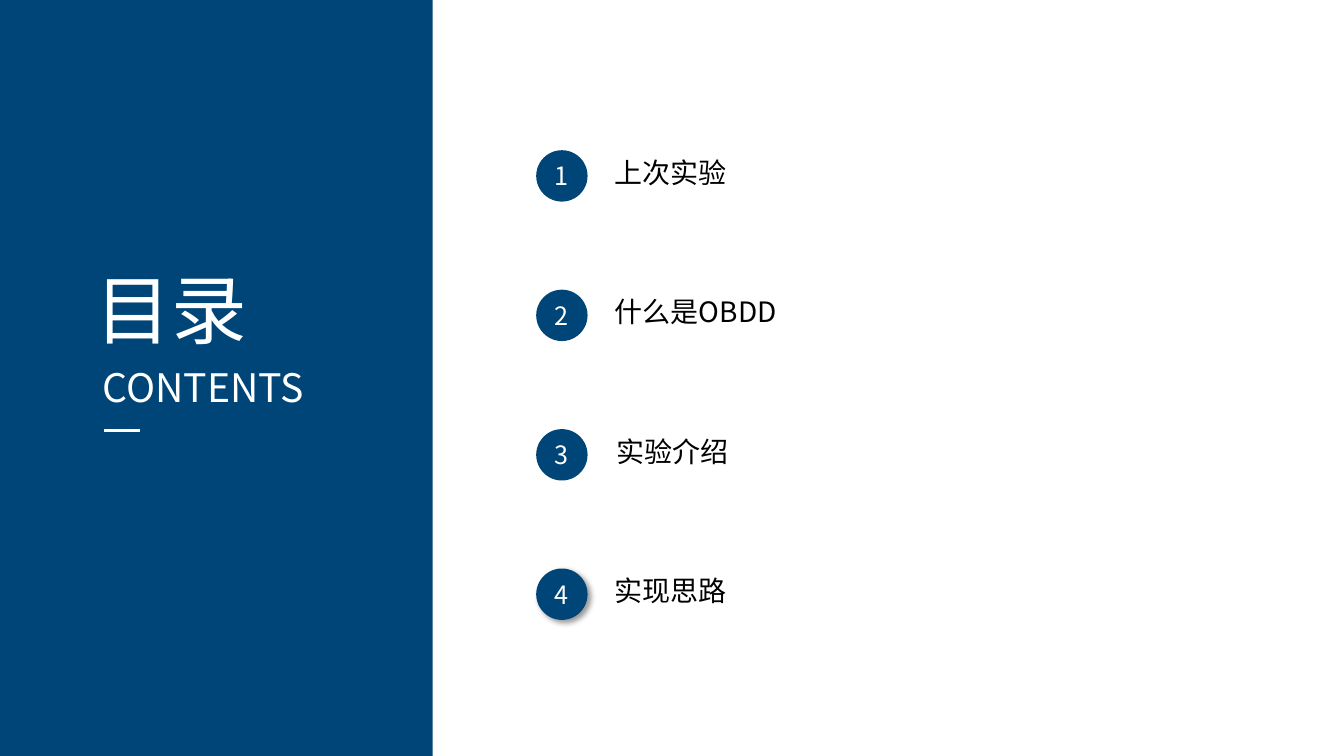
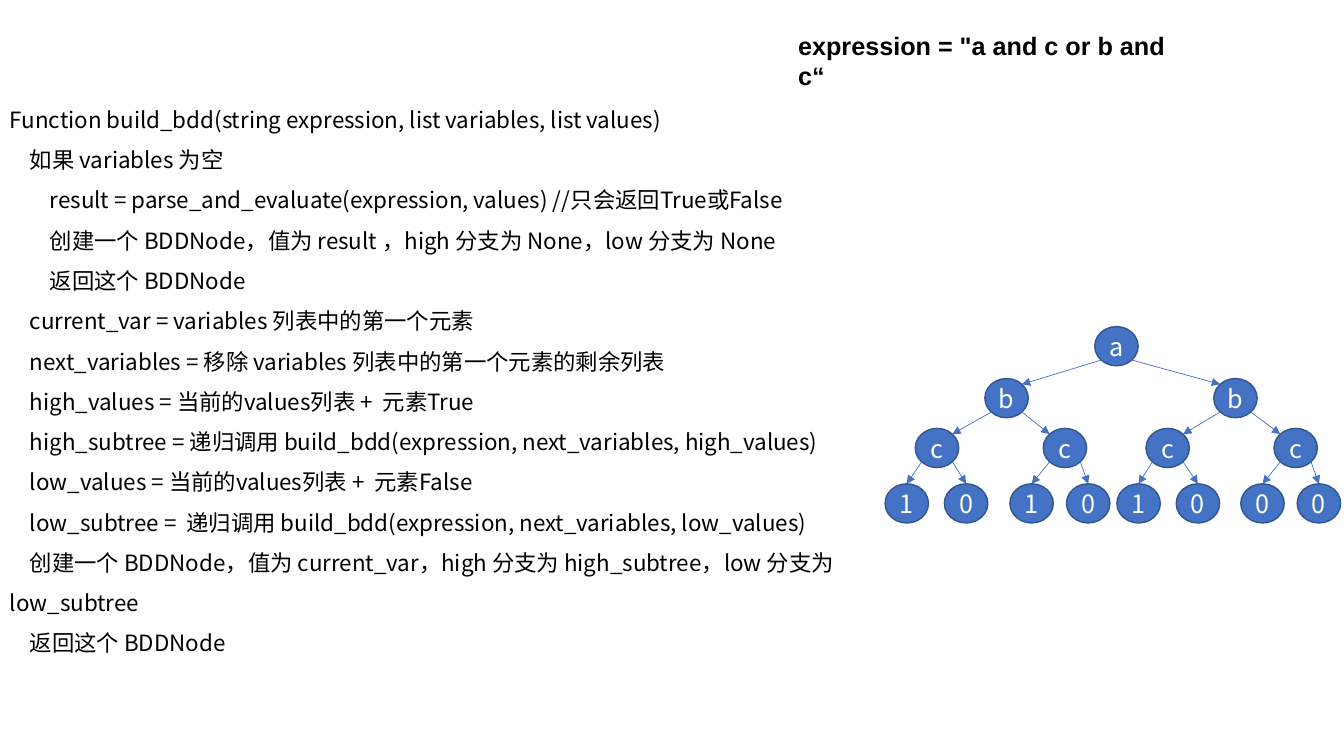
from dataclasses import dataclass
from math import sqrt

from lxml.etree import SubElement
from pptx import Presentation
from pptx.dml.color import RGBColor
from pptx.enum.shapes import MSO_CONNECTOR as Connector, MSO_SHAPE as Shape
from pptx.enum.text import MSO_ANCHOR as Anchor, MSO_AUTO_SIZE as AutoSize, PP_ALIGN as Align
from pptx.oxml.ns import qn
from pptx.util import Pt

NAVY, BLUE, BLUE_EDGE = "004578", "4472C4", "325491"
WHITE, BLACK = "FFFFFF", "000000"
CJK_FONT = "Noto Sans CJK SC"

NODE_W, NODE_H = 31, 28
DIAGONAL = sqrt(2) / 4

PSEUDOCODE = """Function build_bdd(string expression, list variables, list values)
    如果 variables 为空
        result = parse_and_evaluate(expression, values) //只会返回True或False
        创建一个 BDDNode，值为 result ，high 分支为 None，low 分支为 None
        返回这个 BDDNode
    current_var = variables 列表中的第一个元素
    next_variables = 移除 variables 列表中的第一个元素的剩余列表
    high_values = 当前的values列表 +  元素True
    high_subtree = 递归调用 build_bdd(expression, next_variables, high_values)
    low_values = 当前的values列表 +  元素False
    low_subtree =  递归调用 build_bdd(expression, next_variables, low_values)
    创建一个 BDDNode，值为 current_var，high 分支为 high_subtree，low 分支为 low_subtree
    返回这个 BDDNode"""


@dataclass(frozen=True)
class Topic:
    title: str
    left: float = 432
    shadowed: bool = False


@dataclass(frozen=True)
class Level:
    top: float
    labels: str
    lefts: tuple[float, ...]


TOPICS = (
    Topic("上次实验"),
    Topic("什么是OBDD"),
    Topic("实验介绍", left=433.5),
    Topic("实现思路", shadowed=True),
)

LEVELS = (
    Level(233.3, "a", (782,)),
    Level(270.4, "bb", (703.5, 867)),
    Level(306, "cccc", (653.8, 745.2, 818.6, 910)),
    Level(345.6, "10101000", (632.2, 674.6, 721.4, 761.8, 797.8, 840.2, 886.3, 926.6)),
)


def color(value: str) -> RGBColor:
    return RGBColor.from_string(value)


def write(frame, text: str, *, size: float, ink: str = BLACK, font: str = CJK_FONT,
          bold: bool = False, align=Align.LEFT, spacing: float = 1) -> None:
    for index, line in enumerate(text.split("\n")):
        paragraph = frame.add_paragraph() if index else frame.paragraphs[0]
        paragraph.alignment = align
        paragraph.line_spacing = spacing
        run = paragraph.add_run()
        run.text = line
        run.font.size = Pt(size)
        run.font.bold = bold
        run.font.color.rgb = color(ink)
        run.font.name = font
        SubElement(run._r.get_or_add_rPr(), qn("a:ea"), typeface=font)


def add_text(slide, text: str, left: float, top: float, width: float, height: float,
             **style) -> None:
    frame = slide.shapes.add_textbox(Pt(left), Pt(top), Pt(width), Pt(height)).text_frame
    frame.word_wrap = True
    frame.auto_size = AutoSize.SHAPE_TO_FIT_TEXT
    write(frame, text, **style)


def add_filled(slide, kind, left: float, top: float, width: float, height: float,
               fill: str, edge: str = ""):
    shape = slide.shapes.add_shape(kind, Pt(left), Pt(top), Pt(width), Pt(height))
    shape.shadow.inherit = False
    shape.fill.solid()
    shape.fill.fore_color.rgb = color(fill)
    if edge:
        shape.line.color.rgb = color(edge)
        shape.line.width = Pt(1)
    else:
        shape.line.fill.background()
    return shape


def add_disc(slide, label: str, left: float, top: float, width: float, height: float,
             fill: str, edge: str = ""):
    disc = add_filled(slide, Shape.OVAL, left, top, width, height, fill, edge)
    frame = disc.text_frame
    frame.margin_left = frame.margin_right = frame.margin_top = frame.margin_bottom = 0
    frame.vertical_anchor = Anchor.MIDDLE
    write(frame, label, size=18, ink=WHITE, align=Align.CENTER)
    return disc


def add_line(slide, start: tuple[float, float], end: tuple[float, float],
             ink: str, weight: float, arrow: bool = False):
    line = slide.shapes.add_connector(Connector.STRAIGHT, *map(Pt, start + end))
    line.line.color.rgb = color(ink)
    line.line.width = Pt(weight)
    if arrow:
        SubElement(line.line._get_or_add_ln(), qn("a:tailEnd"), type="triangle")
    SubElement(line._element.spPr, qn("a:effectLst"))
    return line


def cast_shadow(shape) -> None:
    effects = shape._element.spPr.find(qn("a:effectLst"))
    shadow = SubElement(effects, qn("a:outerShdw"), blurRad=str(Pt(4)), dist=str(Pt(3)),
                        dir=str(45 * 60000), algn="tl", rotWithShape="0")
    tint = SubElement(shadow, qn("a:srgbClr"), val=BLACK)
    SubElement(tint, qn("a:alpha"), val="40000")


def build_contents(slide) -> None:
    add_filled(slide, Shape.RECTANGLE, 0, 0, 309, 540, NAVY)
    add_text(slide, "目录", 61.2, 184.3, 128, 73, size=54, ink=WHITE, align=Align.JUSTIFY)
    add_text(slide, "CONTENTS", 66.2, 256.3, 176.4, 41, size=28, ink=WHITE,
             align=Align.JUSTIFY)
    add_line(slide, (74.2, 307.4), (100, 307.4), WHITE, 2.25)
    for index, topic in enumerate(TOPICS):
        top = 107.3 + 99.6 * index
        badge = add_disc(slide, str(index + 1), 383, top, 36.7, 36.7, NAVY)
        if topic.shadowed:
            cast_shadow(badge)
        add_text(slide, topic.title, topic.left, top, 200, 31.7, size=20)


def add_tree(slide) -> None:
    discs = [
        [add_disc(slide, label, left, level.top, NODE_W, NODE_H, BLUE, BLUE_EDGE)
         for label, left in zip(level.labels, level.lefts)]
        for level in LEVELS
    ]
    for depth, (upper, lower) in enumerate(zip(LEVELS, LEVELS[1:]), 1):
        is_leaf_level = depth == len(LEVELS) - 1
        for index, left in enumerate(lower.lefts):
            side = 1 if index % 2 else -1
            start = (upper.lefts[index // 2] + NODE_W * (0.5 + side * DIAGONAL),
                     upper.top + NODE_H * (0.5 + DIAGONAL))
            end = (left + NODE_W * (0.5 - side * DIAGONAL),
                   lower.top + NODE_H * (0.5 - DIAGONAL))
            branch = add_line(slide, start, end, BLUE, 0.5, arrow=True)
            if is_leaf_level:
                branch.end_connect(discs[depth][index], 0)


def build_algorithm(slide) -> None:
    add_text(slide, PSEUDOCODE, 0, 62.6, 606.2, 414.7, size=16, spacing=1.5)
    add_text(slide, 'expression = "a and c or b and c“', 563, 18, 288.7, 29,
             size=18, font="Arial", bold=True)
    add_tree(slide)


def main() -> None:
    deck = Presentation()
    deck.slide_width, deck.slide_height = Pt(960), Pt(540)
    blank = deck.slide_layouts[6]
    for build in (build_contents, build_algorithm):
        build(deck.slides.add_slide(blank))
    deck.save("out.pptx")


if __name__ == "__main__":
    main()
